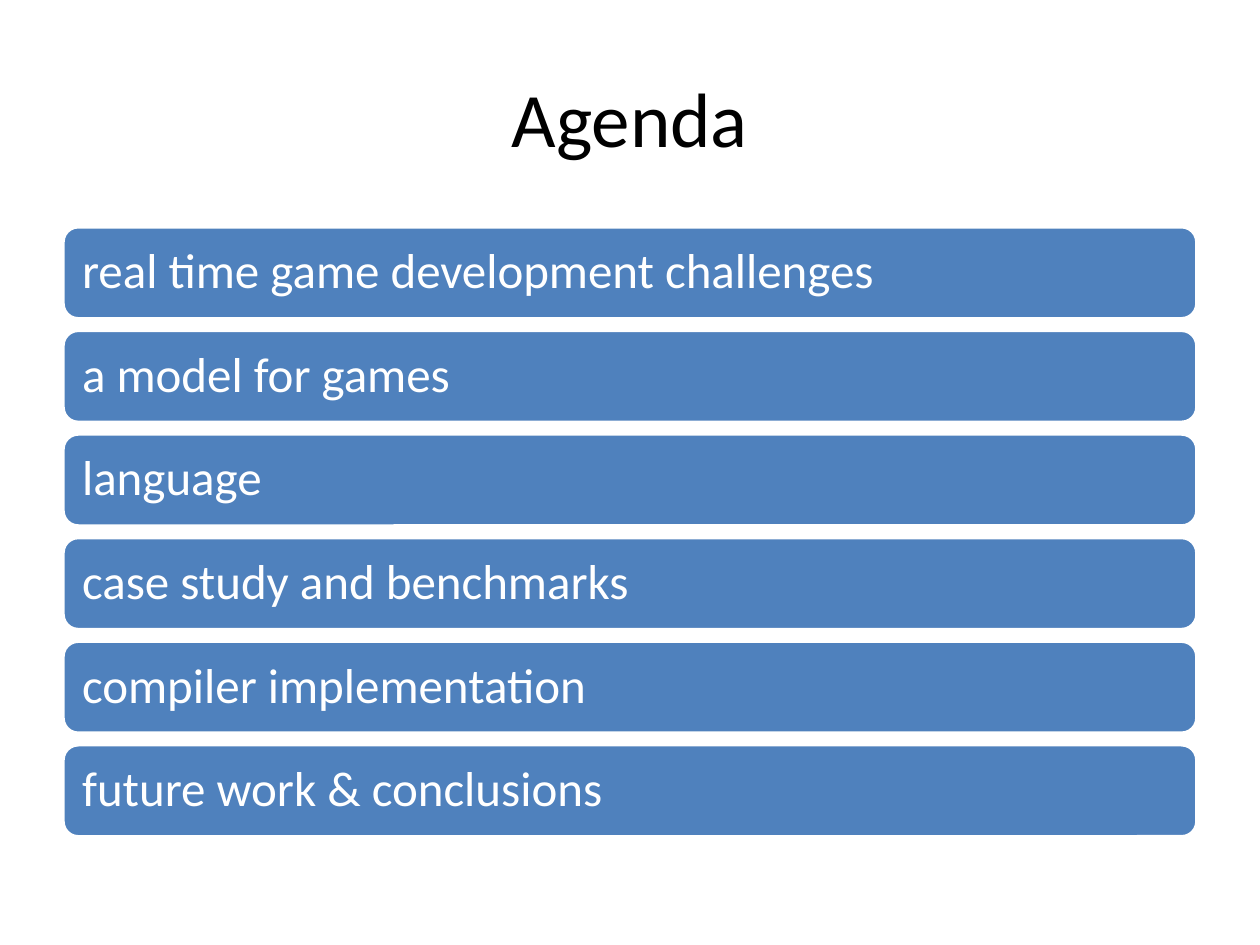
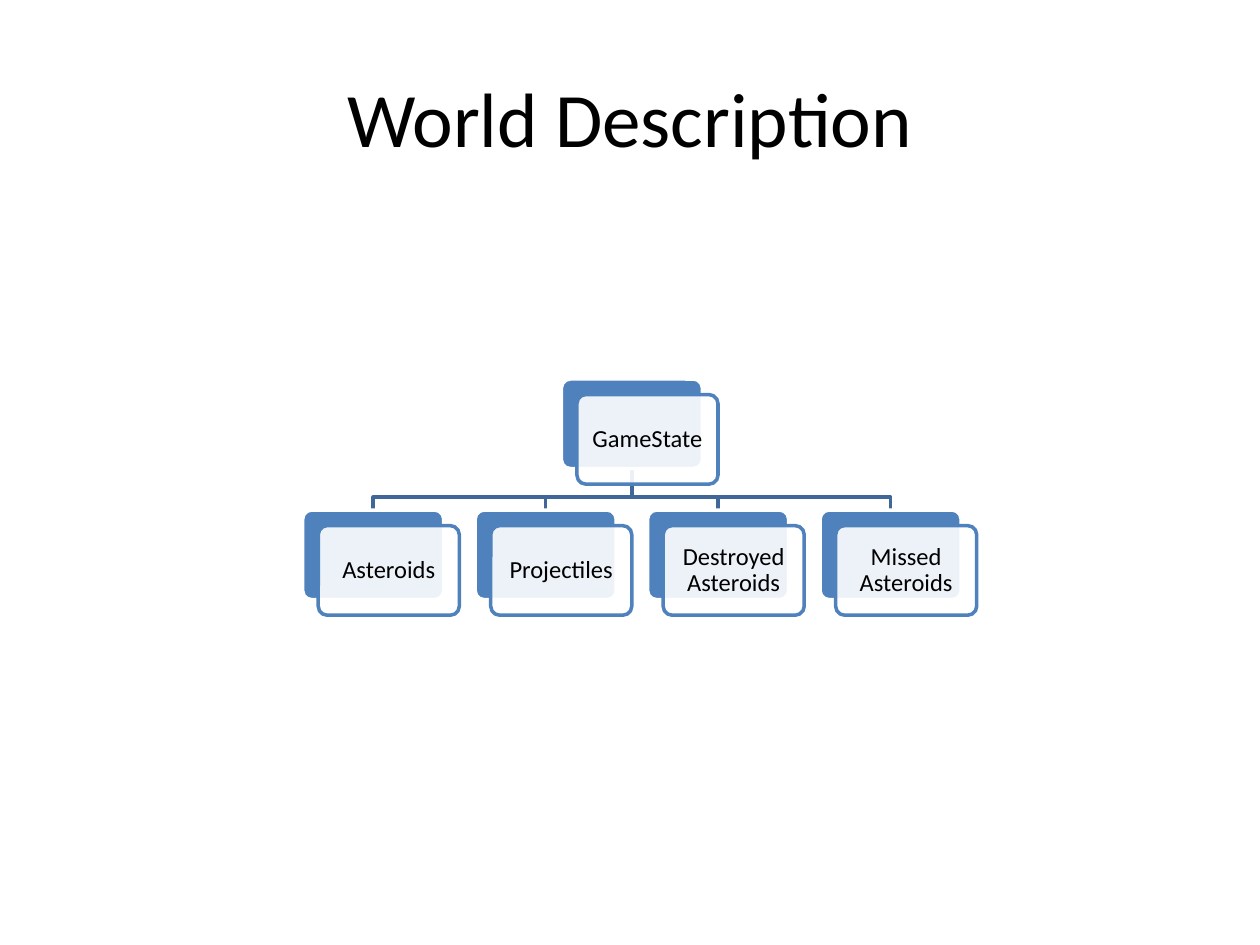
from dataclasses import dataclass

from lxml.etree import SubElement
from pptx import Presentation
from pptx.dml.color import RGBColor
from pptx.enum.shapes import MSO_SHAPE as SHAPE
from pptx.enum.text import MSO_ANCHOR as ANCHOR, PP_ALIGN as ALIGN
from pptx.oxml.ns import qn
from pptx.util import Pt


@dataclass(frozen=True)
class Theme:
    font: str = "Calibri"
    black: RGBColor = RGBColor(0x00, 0x00, 0x00)
    white: RGBColor = RGBColor(0xFF, 0xFF, 0xFF)
    blue: RGBColor = RGBColor(0x4F, 0x81, 0xBD)
    dark_blue: RGBColor = RGBColor(0x3F, 0x67, 0x97)
    title_size: int = 44
    bar_size: int = 28
    card_size: int = 14
    line_width: int = 2


THEME = Theme()
TITLE_ONLY = 5

AGENDA = [
    "real time game development challenges",
    "a model for games",
    "language",
    "case study and benchmarks",
    "compiler implementation",
    "future work & conclusions",
]
BAR_LEFT, BAR_TOP, BAR_W, BAR_H = 36, 129.6, 648, 52.6
BAR_PITCH = 59.2

ROOT = "GameState"
# A vertical tab becomes a line break inside the paragraph.
LEAVES = ["Asteroids", "Projectiles", "Destroyed\vAsteroids", "Missed\vAsteroids"]
CARD_W, CARD_H = 80.6, 51.2
CARD_PITCH = 98.55
CARD_OFFSET = 8.9
TREE_X = 361.1
ROOT_TOP, BUS_Y, LEAF_TOP = 216.6, 284.2, 291.5


def style_text(tf, text, size, color, align):
    tf.text = text
    tf.word_wrap = True
    tf.vertical_anchor = ANCHOR.MIDDLE
    p = tf.paragraphs[0]
    p.alignment = align
    p.font.name = THEME.font
    p.font.size = Pt(size)
    p.font.color.rgb = color
    return p


def add_titled_slide(prs, title):
    slide = prs.slides.add_slide(prs.slide_layouts[TITLE_ONLY])
    sp = slide.shapes.title
    sp.left, sp.top, sp.width, sp.height = Pt(36), Pt(21.6), Pt(648), Pt(90)
    style_text(sp.text_frame, title, THEME.title_size, THEME.black, ALIGN.CENTER)
    return slide


def style_line(sp, color):
    sp.shadow.inherit = False
    sp.line.color.rgb = color
    sp.line.width = Pt(THEME.line_width)


def add_round_box(slide, x, y, w, h, fill, line, corner):
    sp = slide.shapes.add_shape(SHAPE.ROUNDED_RECTANGLE, Pt(x), Pt(y), Pt(w), Pt(h))
    sp.adjustments[0] = corner
    sp.fill.solid()
    sp.fill.fore_color.rgb = fill
    style_line(sp, line)
    return sp


def set_opacity(sp, percent):
    color = sp.element.spPr.find(qn("a:solidFill")).find(qn("a:srgbClr"))
    SubElement(color, qn("a:alpha"), val=str(percent * 1000))


def add_label(sp, text, size, color, align, inset):
    tf = sp.text_frame
    tf.margin_left = tf.margin_right = tf.margin_top = tf.margin_bottom = Pt(inset)
    style_text(tf, text, size, color, align).line_spacing = 0.9


def add_bar(slide, y, text):
    sp = add_round_box(slide, BAR_LEFT, y, BAR_W, BAR_H, THEME.blue, THEME.white, 0.1667)
    add_label(sp, text, THEME.bar_size, THEME.white, ALIGN.LEFT, 8.4)


def add_card(slide, center_x, y, text):
    """Add a blue back plate with a translucent labelled plate offset over it."""
    x = center_x - CARD_W / 2
    add_round_box(slide, x, y, CARD_W, CARD_H, THEME.blue, THEME.white, 0.1)
    front = add_round_box(slide, x + CARD_OFFSET, y + CARD_OFFSET, CARD_W, CARD_H,
                          THEME.white, THEME.blue, 0.1)
    set_opacity(front, 90)
    add_label(front, text, THEME.card_size, THEME.black, ALIGN.CENTER, 4.2)


def add_branch(slide, leaf_x):
    """Draw the stepped line from the root card down to one leaf card."""
    start_y = ROOT_TOP + CARD_H
    steps = [(TREE_X, BUS_Y), (leaf_x, BUS_Y), (leaf_x, LEAF_TOP)]
    builder = slide.shapes.build_freeform(Pt(TREE_X), Pt(start_y))
    builder.add_line_segments([(Pt(x), Pt(y)) for x, y in steps], close=False)
    sp = builder.convert_to_shape()
    sp.fill.background()
    style_line(sp, THEME.dark_blue)


def build_agenda(prs):
    slide = add_titled_slide(prs, "Agenda")
    for i, text in enumerate(AGENDA):
        add_bar(slide, BAR_TOP + i * BAR_PITCH, text)


def build_world(prs):
    slide = add_titled_slide(prs, "World Description")
    middle = (len(LEAVES) - 1) / 2
    centers = [TREE_X + (i - middle) * CARD_PITCH for i in range(len(LEAVES))]
    for x in reversed(centers):
        add_branch(slide, x)
    add_card(slide, TREE_X, ROOT_TOP, ROOT)
    for x, text in zip(centers, LEAVES):
        add_card(slide, x, LEAF_TOP, text)


def main():
    prs = Presentation()
    prs.slide_width, prs.slide_height = Pt(720), Pt(540)
    build_agenda(prs)
    build_world(prs)
    prs.save("out.pptx")


if __name__ == "__main__":
    main()
